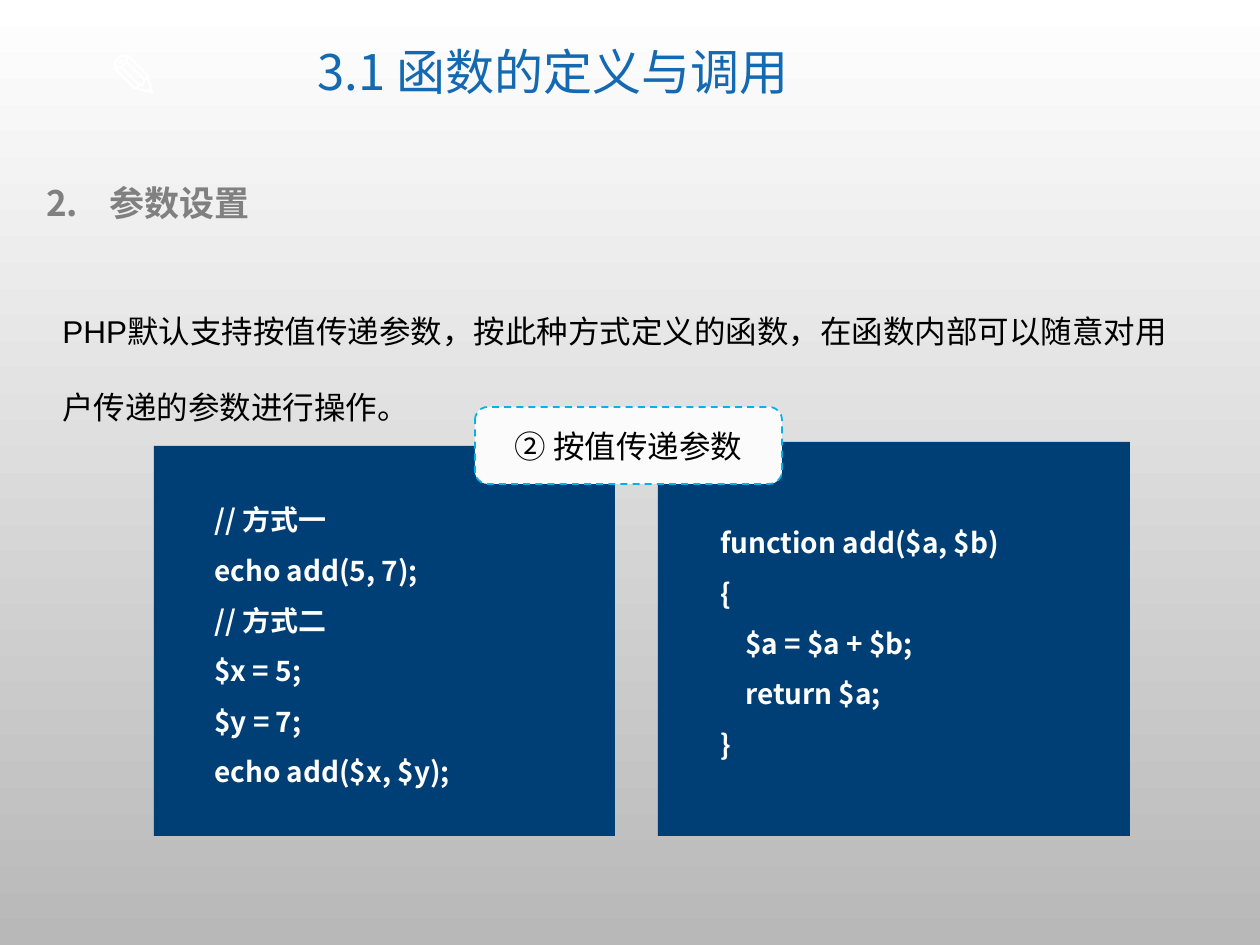
from dataclasses import dataclass

from lxml import etree
from pptx import Presentation
from pptx.dml.color import RGBColor
from pptx.enum.dml import MSO_LINE
from pptx.enum.shapes import MSO_SHAPE
from pptx.enum.text import MSO_ANCHOR, PP_ALIGN
from pptx.oxml.ns import qn
from pptx.util import Emu, Pt

EMU_PER_PX = 914400 / 126
CJK_FONT = "Noto Sans CJK SC"
INDENT = 25  # one code level, px
COLORS = {
    "top": "FFFFFF", "bottom": "B8B8B8", "white": "FFFFFF", "title": "1369B2",
    "heading": "808080", "black": "000000", "panel": "003F75",
    "badge": "FBFBFB", "badge_line": "00B4E9",
}


@dataclass(frozen=True)
class Box:
    left: int
    top: int
    width: int
    height: int


@dataclass(frozen=True)
class CodePanel:
    frame: Box
    code_box: Box
    lines: tuple[str, ...]
    indented: tuple[int, ...] = ()


PANELS = (
    CodePanel(Box(658, 442, 472, 394), Box(708, 503, 413, 267),
              ("function add($a, $b)", "{", "$a = $a + $b;", "return $a;", "}"),
              indented=(2, 3)),
    CodePanel(Box(154, 446, 461, 390), Box(202, 480, 413, 318),
              ("// 方式一", "echo add(5, 7);", "// 方式二", "$x = 5;", "$y = 7;",
               "echo add($x, $y);")),
)


def px(length: int) -> Emu:
    return Emu(round(length * EMU_PER_PX))


def rgb(name: str) -> RGBColor:
    return RGBColor.from_string(COLORS[name])


def place(box: Box) -> tuple[Emu, ...]:
    return px(box.left), px(box.top), px(box.width), px(box.height)


def write(owner, *lines: str, size: int, color: str, font: str = CJK_FONT,
          bold: bool = False, align=PP_ALIGN.LEFT, anchor=MSO_ANCHOR.TOP,
          spacing: float = 1.0, wrap: bool = True, indented: tuple[int, ...] = ()):
    """Fill a shape with one paragraph per line; return its text frame."""
    frame = owner.text_frame
    frame.word_wrap = wrap
    frame.vertical_anchor = anchor
    for number, line in enumerate(lines):
        paragraph = frame.add_paragraph() if number else frame.paragraphs[0]
        paragraph.alignment = align
        paragraph.line_spacing = spacing
        if number in indented:
            paragraph._p.get_or_add_pPr().set("marL", str(px(INDENT)))
        run = paragraph.add_run()
        run.text = line
        run.font.size = Pt(size)
        run.font.name = font
        run.font.bold = bold
        run.font.color.rgb = rgb(color)
        east_asian = etree.SubElement(run._r.get_or_add_rPr(), qn("a:ea"))
        east_asian.set("typeface", CJK_FONT)
    return frame


def add_block(shapes, kind, box: Box, fill: str):
    block = shapes.add_shape(kind, *place(box))
    block.shadow.inherit = False
    block.fill.solid()
    block.fill.fore_color.rgb = rgb(fill)
    block.line.fill.background()
    return block


def add_code_panel(slide, panel: CodePanel) -> None:
    group = slide.shapes.add_group_shape()
    add_block(group.shapes, MSO_SHAPE.RECTANGLE, panel.frame, "panel")
    write(group.shapes.add_textbox(*place(panel.code_box)), *panel.lines,
          size=16, color="white", bold=True, spacing=1.5, indented=panel.indented)


def number_from(paragraph, start: int, hanging: int) -> None:
    properties = paragraph._p.get_or_add_pPr()
    properties.set("marL", str(px(hanging)))
    properties.set("indent", str(-px(hanging)))
    numbering = etree.SubElement(properties, qn("a:buAutoNum"))
    numbering.set("type", "arabicPeriod")
    numbering.set("startAt", str(start))


def main() -> None:
    deck = Presentation()
    deck.slide_width, deck.slide_height = px(1260), px(945)
    slide = deck.slides.add_slide(deck.slide_layouts[6])
    shapes = slide.shapes

    # Background, light at the top
    background = slide.background.fill
    background.gradient()
    background.gradient_angle = 270
    for stop, name in zip(background.gradient_stops, ("top", "bottom")):
        stop.color.rgb = rgb(name)

    # Pencil mark and title
    write(shapes.add_textbox(*place(Box(96, 30, 108, 89))), "✎",
          size=36, color="white", bold=True, wrap=False)
    write(shapes.add_textbox(*place(Box(228, 21, 650, 107))), "3.1 函数的定义与调用",
          size=28, color="title", align=PP_ALIGN.CENTER,
          anchor=MSO_ANCHOR.MIDDLE, spacing=0.9)

    # Numbered heading and explanation
    heading = write(shapes.add_textbox(*place(Box(34, 175, 1162, 55))), "参数设置",
                    size=20, color="heading", bold=True)
    number_from(heading.paragraphs[0], start=2, hanging=63)
    write(shapes.add_textbox(*place(Box(50, 268, 1158, 165))),
          "PHP默认支持按值传递参数，按此种方式定义的函数，"
          "在函数内部可以随意对用户传递的参数进行操作。",
          size=18, color="black", font="Arial", spacing=2.0)

    # Code panels
    for panel in PANELS:
        add_code_panel(slide, panel)

    # Badge across both panels
    badge = add_block(shapes, MSO_SHAPE.ROUNDED_RECTANGLE, Box(475, 407, 307, 77), "badge")
    badge.line.color.rgb = rgb("badge_line")
    badge.line.width = Pt(1)
    badge.line.dash_style = MSO_LINE.DASH
    write(badge, "② 按值传递参数", size=18, color="black", font="Calibri",
          align=PP_ALIGN.CENTER, anchor=MSO_ANCHOR.MIDDLE)

    deck.save("out.pptx")


if __name__ == "__main__":
    main()
